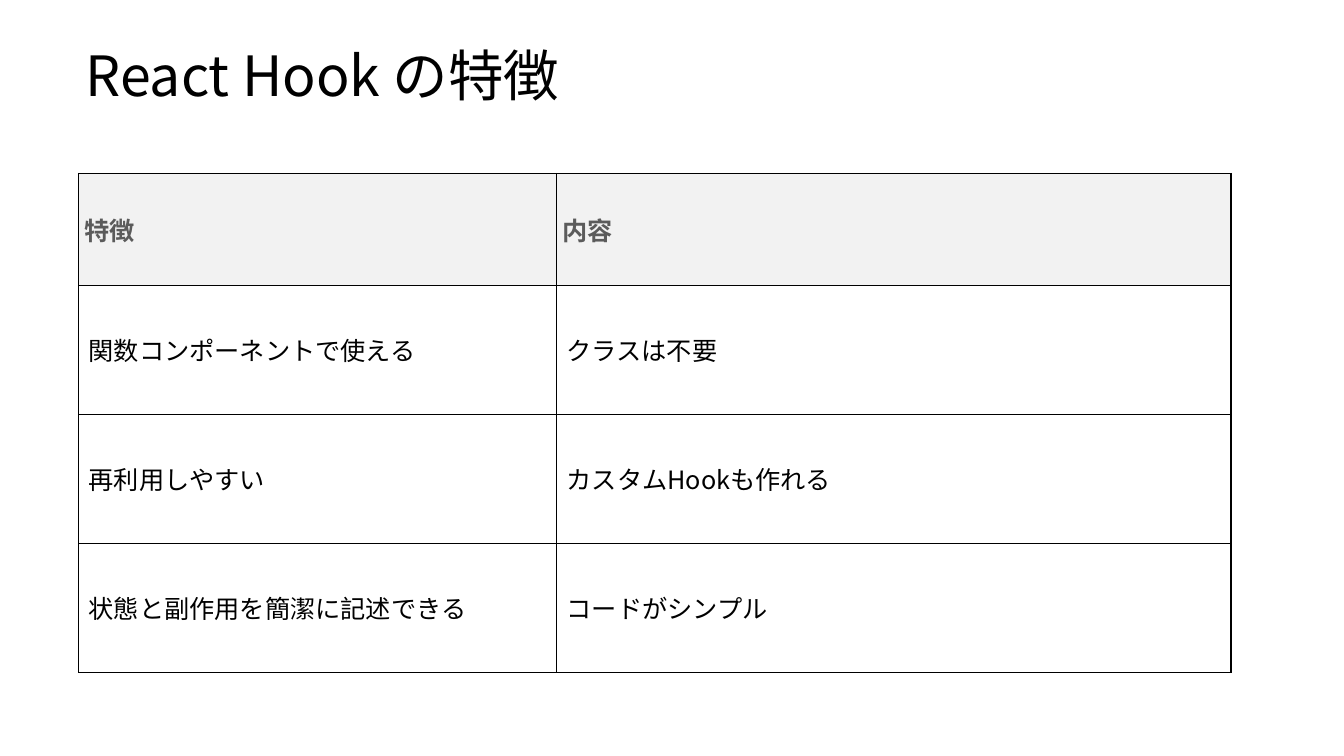
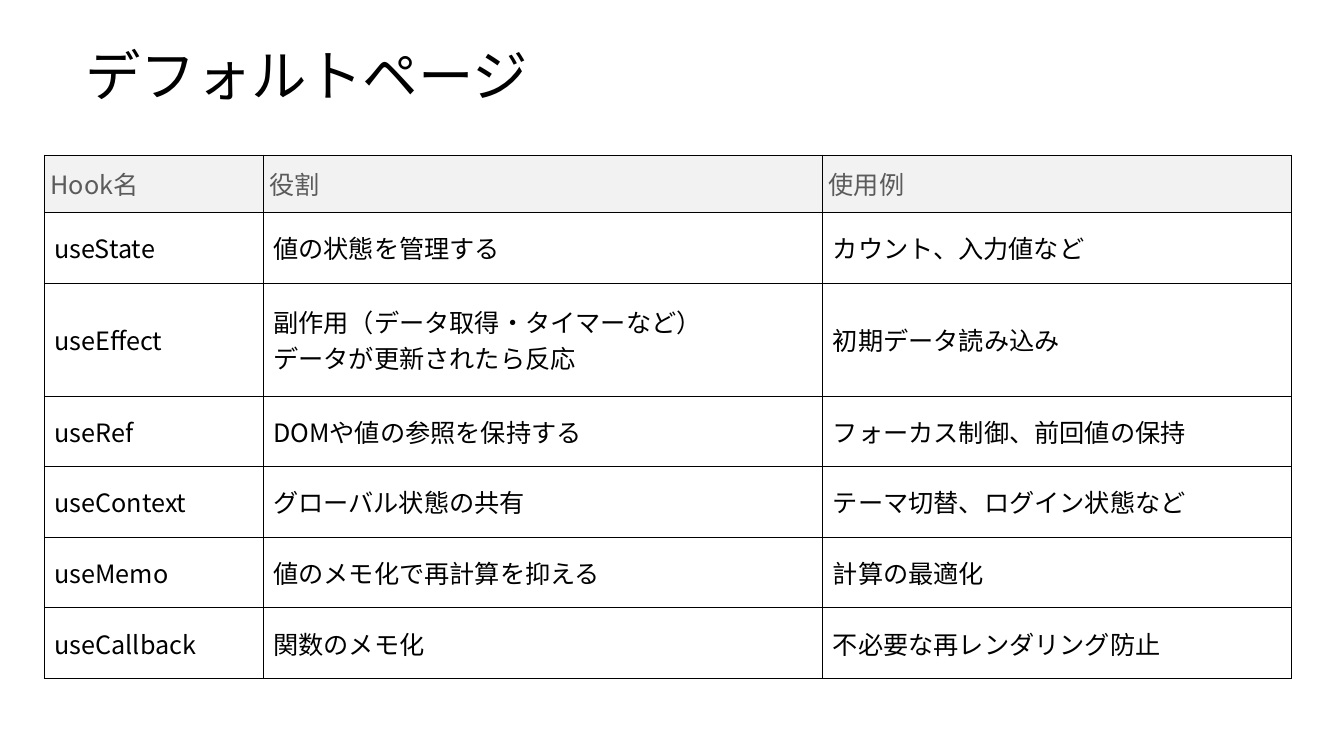
"""Build two slides on React hooks, each a title above a ruled table."""
from dataclasses import dataclass

from lxml.etree import SubElement
from pptx import Presentation
from pptx.dml.color import RGBColor
from pptx.enum.text import MSO_ANCHOR
from pptx.oxml import parse_xml
from pptx.oxml.ns import nsdecls, qn
from pptx.util import Pt

PX = 9144


@dataclass(frozen=True)
class Theme:
    font: str = "Noto Sans CJK JP"
    ink: str = "000000"
    header_ink: str = "5B5B5B"
    header_fill: str = "F2F2F2"
    paper: str = "FFFFFF"
    title_size: float = 39.6
    table_size: int = 18
    border: int = Pt(1)
    header_inset: int = 6
    body_inset: int = 10


theme = Theme()

PAGES = [
    {
        "title": "React Hook の特徴",
        "left": 78,
        "top": 172,
        "columns": [474, 669],
        "heights": [111, 128, 128, 128],
        "header_bold": True,
        "rows": [
            ["特徴", "内容"],
            ["関数コンポーネントで使える", "クラスは不要"],
            ["再利用しやすい", "カスタムHookも作れる"],
            ["状態と副作用を簡潔に記述できる", "コードがシンプル"],
        ],
    },
    {
        "title": "デフォルトページ",
        "left": 44,
        "top": 154,
        "columns": [217, 555, 465],
        "heights": [57, 70, 112, 70, 70, 70, 70],
        "header_bold": False,
        "rows": [
            ["Hook名", "役割", "使用例"],
            ["useState", "値の状態を管理する", "カウント、入力値など"],
            ["useEffect", "副作用（データ取得・タイマーなど）\nデータが更新されたら反応", "初期データ読み込み"],
            ["useRef", "DOMや値の参照を保持する", "フォーカス制御、前回値の保持"],
            ["useContext", "グローバル状態の共有", "テーマ切替、ログイン状態など"],
            ["useMemo", "値のメモ化で再計算を抑える", "計算の最適化"],
            ["useCallback", "関数のメモ化", "不必要な再レンダリング防止"],
        ],
    },
]


def write_text(frame, text, *, size, color=theme.ink, bold=False, spacing=1.0):
    frame.word_wrap = True
    frame.text = text
    for para in frame.paragraphs:
        para.line_spacing = spacing
        for span in para.runs:
            span.font.size = Pt(size)
            span.font.bold = bold
            span.font.color.rgb = RGBColor.from_string(color)
            span.font.name = theme.font
            SubElement(span.font._element, qn("a:ea"), typeface=theme.font)


def style_cell(cell, *, fill, inset):
    cell.vertical_anchor = MSO_ANCHOR.MIDDLE
    cell.margin_left = cell.margin_right = inset * PX
    cell.margin_top = cell.margin_bottom = inset * PX
    cell.fill.solid()
    cell.fill.fore_color.rgb = RGBColor.from_string(fill)
    properties = cell._tc.get_or_add_tcPr()
    for position, side in enumerate(("lnL", "lnR", "lnT", "lnB")):
        line = parse_xml(
            f'<a:{side} {nsdecls("a")} w="{theme.border}"><a:solidFill>'
            f'<a:srgbClr val="{theme.ink}"/></a:solidFill></a:{side}>'
        )
        properties.insert(position, line)


deck = Presentation()
deck.slide_width = 1333 * PX
deck.slide_height = 750 * PX
blank_layout = deck.slide_layouts[6]

for content in PAGES:
    page = deck.slides.add_slide(blank_layout)
    title_box = page.shapes.add_textbox(75 * PX, 46 * PX, 1190 * PX, 63 * PX)
    title_box.text_frame.vertical_anchor = MSO_ANCHOR.MIDDLE
    write_text(title_box.text_frame, content["title"], size=theme.title_size, spacing=0.9)

    columns, heights, rows = content["columns"], content["heights"], content["rows"]
    table = page.shapes.add_table(
        len(rows), len(columns),
        content["left"] * PX, content["top"] * PX,
        sum(columns) * PX, sum(heights) * PX,
    ).table
    table.first_row = False
    table.horz_banding = False
    for column, width in zip(table.columns, columns):
        column.width = width * PX
    for row_index, (row, height, texts) in enumerate(zip(table.rows, heights, rows)):
        row.height = height * PX
        is_header = row_index == 0
        for cell, text in zip(row.cells, texts):
            write_text(
                cell.text_frame, text, size=theme.table_size,
                color=theme.header_ink if is_header else theme.ink,
                bold=is_header and content["header_bold"],
            )
            style_cell(
                cell,
                fill=theme.header_fill if is_header else theme.paper,
                inset=theme.header_inset if is_header else theme.body_inset,
            )

deck.save("out.pptx")
